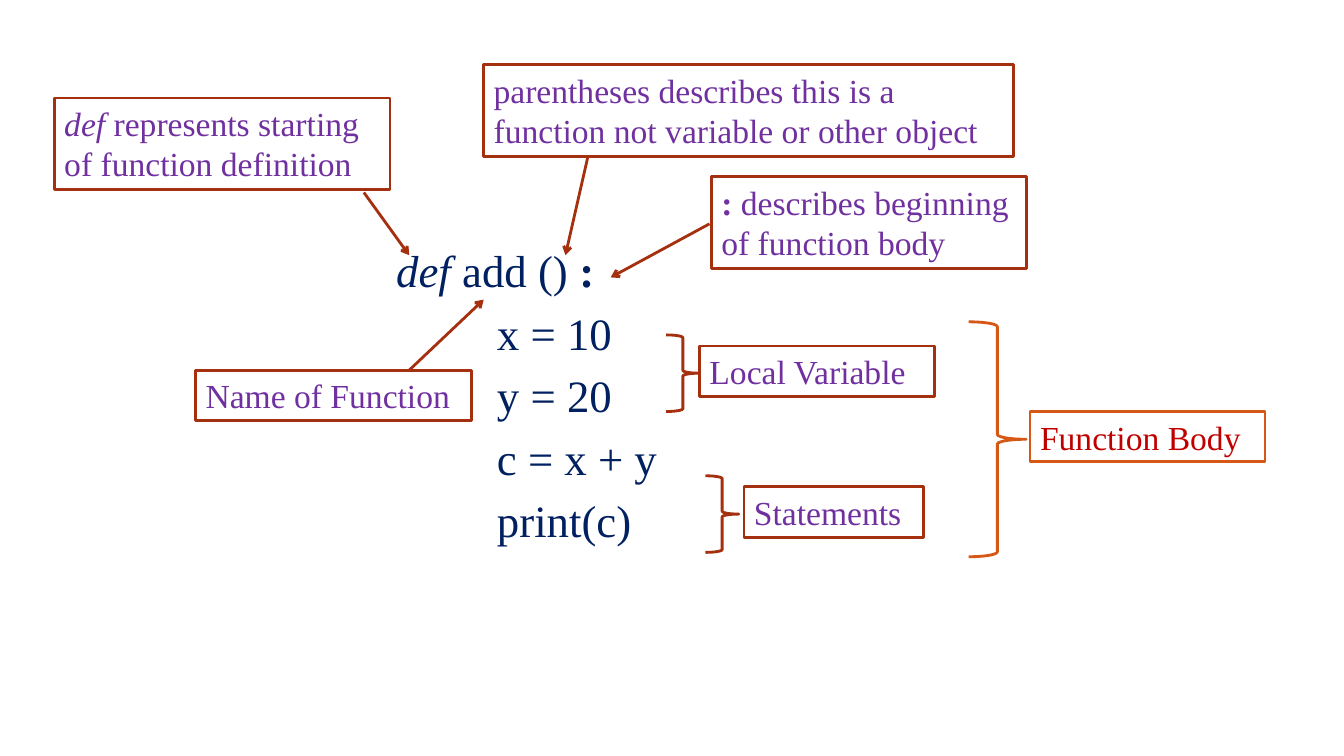
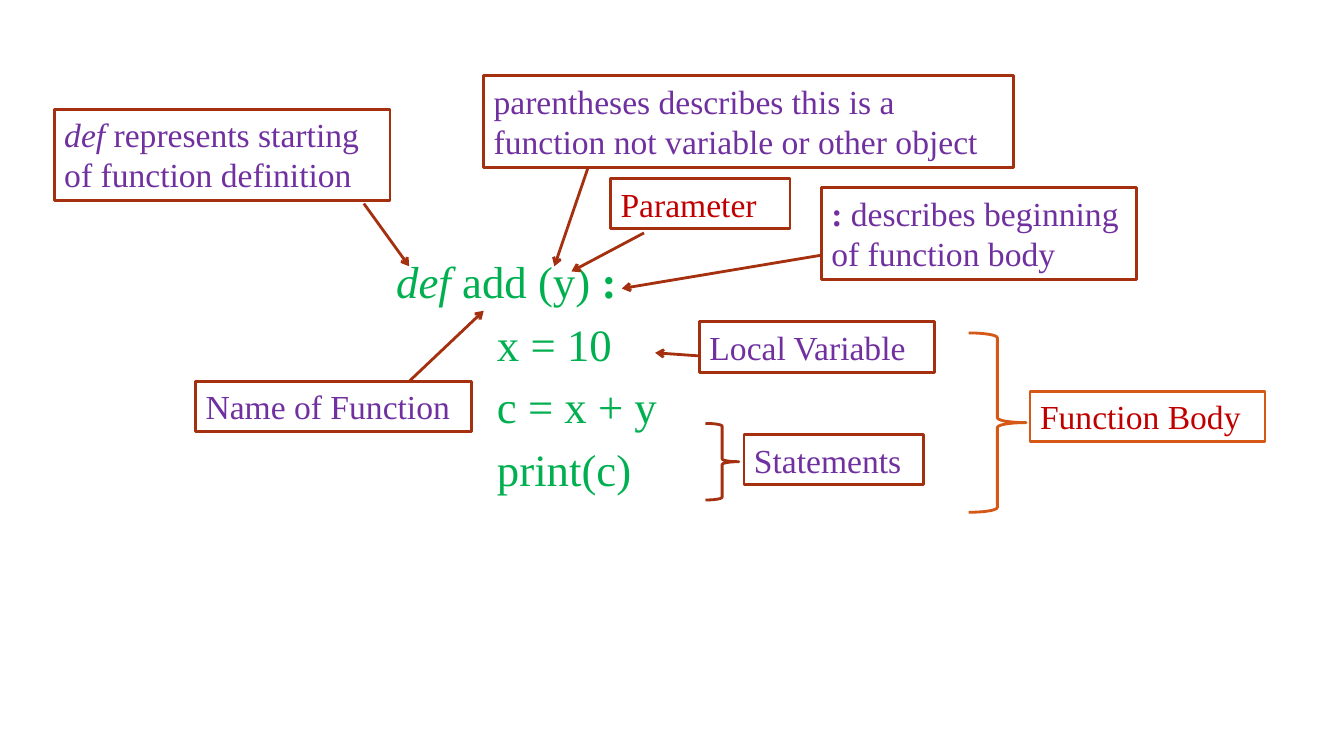
from dataclasses import dataclass

from lxml import etree
from pptx import Presentation
from pptx.dml.color import RGBColor
from pptx.enum import shapes, text
from pptx.oxml import ns
from pptx.util import Cm, Pt


@dataclass(frozen=True)
class Theme:
    font: str = "Times New Roman"
    code_size: int = 32
    note_size: int = 24
    line_width: int = 2
    navy: str = "002060"
    green: str = "00B050"
    purple: str = "7030A0"
    red: str = "C00000"
    rust: str = "A5300F"
    orange: str = "D55816"
    white: str = "FFFFFF"


THEME = Theme()
ITALIC, BOLD = {"italic": True}, {"bold": True}
LINE_H, TWO_LINES_H = 1.27, 2.31
BRACE_W, BRACE_H = 0.84, 1.93


# Shared helpers
def set_attributes(target, values):
    for name, value in values.items():
        setattr(target, name, value)


def add_runs(p, runs, size, color):
    for content, style in runs:
        r = p.add_run()
        r.text = content
        set_attributes(r.font, {"name": THEME.font, "size": Pt(size), **style})
        r.font.color.rgb = RGBColor.from_string(color)


def outline(sp, color):
    sp.line.color.rgb = RGBColor.from_string(color)
    sp.line.width = Pt(THEME.line_width)


class Diagram:
    """Places parts in centimetres from the corner of the code block."""

    def __init__(self, s, left, top):
        self.s, self.left, self.top = s, left, top

    def at(self, x, y):
        return Cm(self.left + x), Cm(self.top + y)

    def code(self, signature, body, color, width=12.14, height=7.62):
        sp = self.s.placeholders[1]
        left, top = self.at(0, 0)
        set_attributes(sp, {"left": left, "top": top,
                            "width": Cm(width), "height": Cm(height)})
        tf = sp.text_frame
        set_attributes(tf, {"word_wrap": True, "auto_size": text.MSO_AUTO_SIZE.NONE})
        lines = [signature] + [[(line, {})] for line in body]
        for i, runs in enumerate(lines):
            p = tf.add_paragraph() if i else tf.paragraphs[0]
            set_attributes(p, {"line_spacing": 0.9, "space_before": Pt(10)})
            # Body lines are indented and carry no bullet
            pPr = p._p.get_or_add_pPr()
            pPr.set("marL", str(Cm(2.54) if i else 0))
            pPr.set("indent", "0")
            etree.SubElement(pPr, ns.qn("a:buNone"))
            add_runs(p, runs, THEME.code_size, color)

    def note(self, x, y, width, runs, height=LINE_H,
             color=THEME.purple, border=THEME.rust):
        sp = self.s.shapes.add_textbox(*self.at(x, y), Cm(width), Cm(height))
        sp.fill.solid()
        sp.fill.fore_color.rgb = RGBColor.from_string(THEME.white)
        outline(sp, border)
        tf = sp.text_frame
        set_attributes(tf, {"word_wrap": True,
                            "auto_size": text.MSO_AUTO_SIZE.SHAPE_TO_FIT_TEXT})
        add_runs(tf.paragraphs[0], runs, THEME.note_size, color)

    def arrow(self, start, end):
        line = self.s.shapes.add_connector(
            shapes.MSO_CONNECTOR.STRAIGHT, *self.at(*start), *self.at(*end))
        outline(line, THEME.rust)
        etree.SubElement(line.line._get_or_add_ln(), ns.qn("a:tailEnd"), type="arrow")
        etree.SubElement(line._element.spPr, ns.qn("a:effectLst"))

    def brace(self, x, y, width=BRACE_W, height=BRACE_H, color=THEME.rust):
        sp = self.s.shapes.add_shape(shapes.MSO_SHAPE.RIGHT_BRACE,
                                     *self.at(x, y), Cm(width), Cm(height))
        sp.shadow.inherit = False
        sp.fill.background()
        outline(sp, color)


# Regions
def signature_notes(d, paren_x, colon_x, colon_start, colon_end):
    d.note(-8.36, -3.68, 8.46, [("def", ITALIC),
           (" represents starting of function definition", {})], TWO_LINES_H)
    d.arrow((-0.56, -1.3), (0.58, 0.28))
    d.note(-4.8, 3.18, 6.96, [("Name of Function", {})])
    d.arrow((0.58, 3.18), (2.46, 1.4))
    d.note(2.46, -4.52, 13.36, [
        ("parentheses describes this is a function not variable or other object", {})],
        TWO_LINES_H)
    d.arrow((5.08, -2.18), (paren_x, 0.28))
    d.note(colon_x, -1.7, 7.95, [(":", BOLD),
           (" describes beginning of function body", {})], TWO_LINES_H)
    d.arrow(colon_start, colon_end)


def body_notes(d, local_y, statements_y, body_height, body_label_y):
    d.note(7.9, local_y, 5.92, [("Local Variable", {})])
    d.note(9.02, statements_y, 4.52, [("Statements", {})])
    d.brace(8.05, statements_y - 0.28)
    d.brace(14.68, 1.96, 1.45, body_height, THEME.orange)
    d.note(16.23, body_label_y, 5.92, [("Function Body", {})],
           color=THEME.red, border=THEME.orange)


def new_diagram(prs, top):
    s = prs.slides.add_slide(prs.slide_layouts[1])
    title = s.shapes.title._element
    title.getparent().remove(title)
    return Diagram(s, 9.73, top)


# Slide types
def plain_function(prs):
    d = new_diagram(prs, 6.15)
    d.code([("def", ITALIC), (" add () ", {}), (":", BOLD)],
           ["x = 10", "y = 20", "c = x + y", "print(c)"], THEME.navy)
    signature_notes(d, 4.52, 8.2, (8.15, -0.51), (5.66, 0.84))
    body_notes(d, 2.57, 6.12, 5.92, 4.22)
    d.brace(7.06, 2.29)


def function_with_parameter(prs):
    d = new_diagram(prs, 6.43)
    d.code([("def", ITALIC), (" add (y) ", {}), (":", BOLD)],
           ["x = 10", "c = x + y", "print(c)"], THEME.green)
    signature_notes(d, 4.24, 10.97, (10.97, 0), (5.94, 0.84))
    body_notes(d, 1.68, 4.52, 4.52, 3.43)
    d.arrow((7.9, 2.54), (6.78, 2.46))
    d.note(5.66, -1.93, 4.52, [("Parameter", {})], color=THEME.red)
    d.arrow((6.5, -0.56), (4.67, 0.41))


prs = Presentation()
set_attributes(prs, {"slide_width": Cm(33.87), "slide_height": Cm(19.05)})
plain_function(prs)
function_with_parameter(prs)
prs.save("out.pptx")
